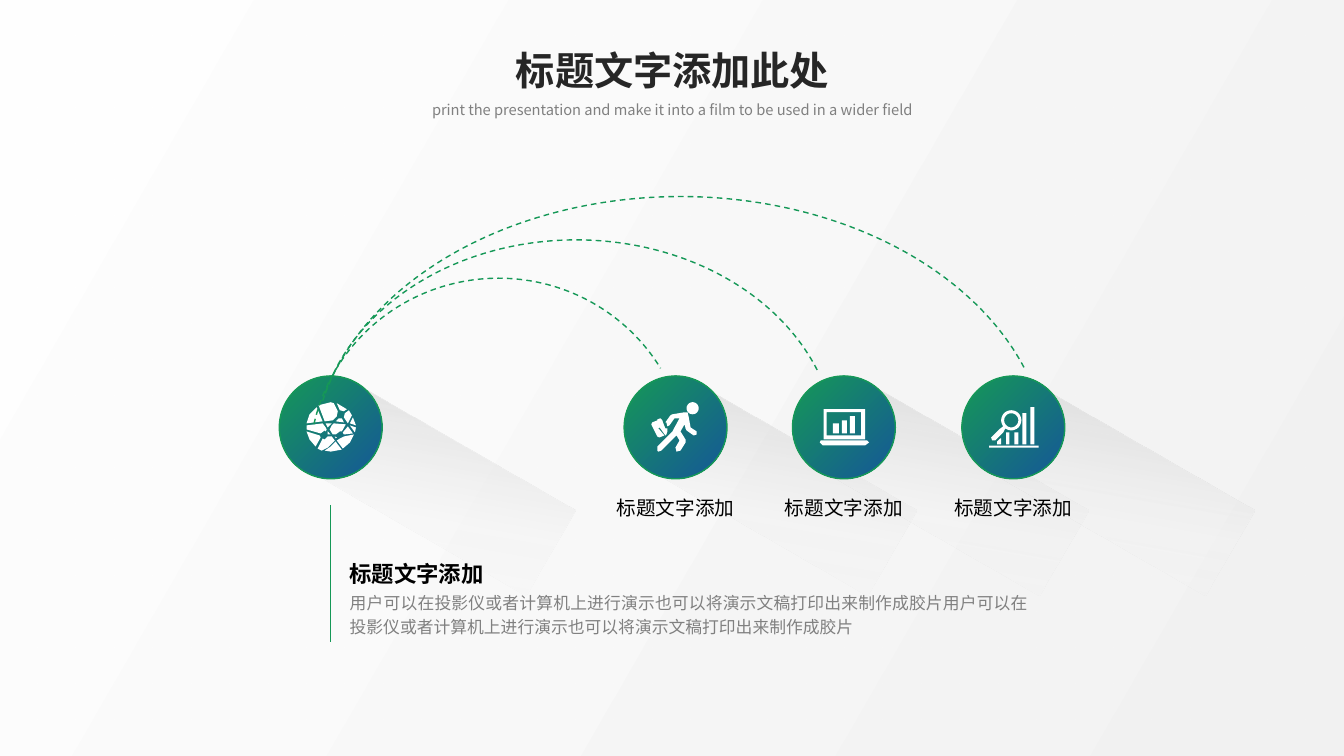
import math
from dataclasses import dataclass

from pptx import Presentation
from pptx import util as u
from pptx.dml.color import RGBColor
from pptx.enum import dml, shapes, text
from pptx.oxml import ns, xmlchemy

FONT = "Noto Sans CJK SC"
GREEN, BLUE, GREY = "159857", "155798", "808080"
LABEL = "标题文字添加"
DETAIL = "用户可以在投影仪或者计算机上进行演示也可以将演示文稿打印出来制作成胶片" * 2
CENTER_Y = 4.24
Outline = list[tuple[float, float]]


@dataclass
class Station:
    x: float
    shadow_dx: float
    icon: list[Outline]
    label: str = ""


@dataclass
class Arc:
    left: float
    top: float
    width: float
    height: float
    start: float
    end: float


def box(left: float, top: float, right: float, bottom: float) -> Outline:
    return [(left, top), (right, top), (right, bottom), (left, bottom)]


def circle(x: float, y: float, radius: float) -> Outline:
    turns = [math.tau * step / 32 for step in range(32)]
    return [(x + radius * math.cos(t), y + radius * math.sin(t)) for t in turns]


# Icon outlines, in hundredths of an inch from the centre of the disc
RUNNER = [
    circle(17, -19, 6),
    [(9, -15), (12, -15), (13, -11), (15, 0), (21, 4), (21, 7), (18, 8), (11, 3),
     (10, 1), (9, -3), (5, 4), (10, 12), (10, 15), (5, 23), (1, 24), (0, 20),
     (4, 13), (1, 8), (-14, 23), (-17, 24), (-18, 23), (-18, 19), (-3, 4), (-2, 2),
     (4, -9), (-1, -9), (-6, -2), (-8, -1), (-9, -5), (-10, -5), (-5, -12), (-3, -13)],
    [(-18, -7), (-16, 0), (-17, 1), (-16, 2), (-11, 8), (-16, 10), (-18, 9),
     (-24, -3), (-23, -5)],
    [(-15, -9), (-13, -7), (-12, -4), (-10, 1), (-8, 1), (-8, 4), (-9, 7),
     (-10, 8), (-15, 1), (-16, 0), (-18, -8)],
]
LAPTOP = [
    [(-23, 13), (23, 13), (25, 15), (21, 18), (-21, 18), (-24, 15)],
    box(-11, -4, -5, 6), box(-2, -7, 3, 6), box(6, -11, 11, 6),
    box(-20, -18, 21, 12), box(-17, -15, 17, 8),
]
GLOBE = [
    [(5, 14), (7, 17), (11, 22), (0, 24), (-6, 23), (0, 19)],
    [(4, 9), (6, 10), (5, 11)],
    [(-3, 9), (1, 9), (4, 13), (-3, 20), (-9, 23), (-13, 21), (-8, 11), (-6, 12)],
    [(23, 7), (19, 15), (12, 21), (6, 13), (9, 11), (13, 9)],
    [(-24, 4), (-11, 8), (-10, 10), (-15, 19), (-21, 12)],
    [(-3, 4), (0, 7), (-3, 7)],
    [(17, -1), (22, 6), (13, 7), (12, 5)],
    [(19, -2), (25, 0), (24, 5)],
    [(-8, -4), (-5, 0), (-4, 2), (-5, 4), (-6, 3), (-10, 6), (-24, 2), (-24, -2)],
    [(3, -4), (15, -3), (11, 4), (9, 4), (5, 7), (2, 7), (-1, 2), (1, -2)],
    [(1, -4), (-3, 0), (-5, -4)],
    [(8, -9), (11, -9), (13, -5), (5, -6)],
    [(22, -10), (25, -2), (19, -4)],
    [(18, -17), (21, -12), (17, -4), (13, -10), (14, -14)],
    [(-14, -20), (-8, -6), (-24, -4), (-21, -13)],
    [(6, -24), (16, -18), (13, -16), (9, -17)],
    [(0, -25), (3, -24), (7, -16), (6, -11), (2, -7), (-6, -6), (-12, -22)],
]
ANALYSIS = [
    box(-24, 18, 25, 20),
    [(-13, 11), (-12, 11), (-12, 17), (-16, 17), (-16, 14)],
    box(-7, 5, -4, 17), box(1, 5, 5, 17), box(9, -14, 13, 17), box(17, -20, 21, 17),
    circle(-2, -7, 10), circle(-2, -7, 7),
    [(-8, 1), (-10, 5), (-18, 13), (-21, 13), (-22, 10), (-14, 2), (-10, -1)],
]

STATIONS = [
    Station(6.7, -0.11, RUNNER, LABEL),
    Station(8.37, -0.08, LAPTOP, LABEL),
    Station(3.28, -0.08, GLOBE),
    Station(10.05, -0.11, ANALYSIS, LABEL),
]
ARCS = [
    Arc(3.07, 2.76, 3.75, 3.69, 115.34, 197.62),
    Arc(3.13, 2.38, 5.17, 4.17, 114.61, 205.53),
    Arc(3.1, 1.95, 7.3, 5.29, 114.66, 206.78),
]


def color(value: str) -> RGBColor:
    return RGBColor.from_string(value)


def set_gradient(shape, stops: list[tuple[int, str, int]], angle: float) -> None:
    """Each stop is position, colour and opacity; the angle runs clockwise."""
    shape.fill.gradient()
    shape.fill.gradient_angle = 360 - angle
    stop_list = shape._element.spPr.find(".//" + ns.qn("a:gsLst"))
    stop_list.clear()
    for position, value, opacity in stops:
        stop = xmlchemy.OxmlElement("a:gs")
        stop.set("pos", str(position * 1000))
        tint = xmlchemy.OxmlElement("a:srgbClr")
        tint.set("val", value)
        alpha = xmlchemy.OxmlElement("a:alpha")
        alpha.set("val", str(opacity * 1000))
        tint.append(alpha)
        stop.append(tint)
        stop_list.append(stop)


def set_line(shape, dashed: bool = False) -> None:
    shape.line.color.rgb = color(GREEN)
    shape.line.width = u.Pt(1)
    if dashed:
        shape.line.dash_style = dml.MSO_LINE.DASH


def add_outlines(slide, x: float, y: float, outlines: list[Outline]):
    scaled = [[(px * 10, py * 10) for px, py in outline] for outline in outlines]
    builder = slide.shapes.build_freeform(*scaled[0][0], scale=u.Inches(1) / 1000)
    for index, outline in enumerate(scaled):
        if index:
            builder.move_to(*outline[0])
        builder.add_line_segments(outline[1:], close=True)
    shape = builder.convert_to_shape(u.Inches(x), u.Inches(y))
    shape.shadow.inherit = False
    shape.line.fill.background()
    return shape


def add_preset(slide, kind, left: float, top: float, width: float, height: float):
    shape = slide.shapes.add_shape(kind, *map(u.Inches, (left, top, width, height)))
    shape.shadow.inherit = False
    return shape


def write(slide, words: str, left: float, top: float, width: float, height: float, *,
          size: float, value: str = "000000", bold: bool = False,
          align=text.PP_ALIGN.CENTER, spacing: float = 1.2, holder=None) -> None:
    area = [u.Inches(n) for n in (left, top, width, height)]
    holder = holder or slide.shapes.add_textbox(*area)
    holder.left, holder.top, holder.width, holder.height = area
    frame = holder.text_frame
    frame.word_wrap = True
    frame.auto_size = text.MSO_AUTO_SIZE.NONE
    frame.vertical_anchor = text.MSO_ANCHOR.MIDDLE
    paragraph = frame.paragraphs[0]
    paragraph.alignment, paragraph.line_spacing = align, spacing
    run = paragraph.add_run()
    run.text = words
    run.font.name, run.font.size, run.font.bold = FONT, u.Pt(size), bold
    run.font.color.rgb = color(value)
    east_asian = xmlchemy.OxmlElement("a:ea")
    east_asian.set("typeface", FONT)
    run._r.get_or_add_rPr().append(east_asian)


def add_station(slide, station: Station) -> None:
    shadow = add_outlines(slide, station.x + station.shadow_dx, CENTER_Y + 0.15,
                          [box(0, 0, 242, 98)])
    shadow.rotation = 30
    set_gradient(shadow, [(0, "BFBFBF", 50), (61, "F2F2F2", 34), (100, "F2F2F2", 0)], 70)
    disc = add_preset(slide, shapes.MSO_SHAPE.OVAL, station.x - 0.51, CENTER_Y - 0.51, 1.02, 1.02)
    set_gradient(disc, [(0, GREEN, 100), (100, BLUE, 100)], 45)
    set_line(disc)
    icon = add_outlines(slide, station.x, CENTER_Y, station.icon)
    icon.fill.solid()
    icon.fill.fore_color.rgb = color("FFFFFF")
    if station.label:
        write(slide, station.label, station.x - 0.85, 4.83, 1.7, 0.36, size=14)


def main() -> None:
    deck = Presentation()
    deck.slide_width, deck.slide_height = u.Inches(13.33), u.Inches(7.5)
    slide = deck.slides.add_slide(deck.slide_layouts[5])

    # Backdrop, behind the title
    backdrop = add_preset(slide, shapes.MSO_SHAPE.RECTANGLE, 0, 0, 13.33, 7.5)
    set_gradient(backdrop, [(0, "FFFFFF", 95), (100, "F2F2F2", 100)], 30)
    backdrop.line.fill.background()
    slide.shapes._spTree.insert(2, backdrop._element)

    # Heading
    write(slide, "标题文字添加此处", 4.87, 0.41, 3.6, 0.57, size=28, value="262626",
          bold=True, spacing=1.0, holder=slide.shapes.title)
    write(slide, "print the presentation and make it into a film to be used in a wider field",
          4, 0.92, 5.34, 0.3, size=10.5, value=GREY)

    # Stations and the arcs that join them
    for station in STATIONS:
        add_station(slide, station)
    for arc in ARCS:
        curve = add_preset(slide, shapes.MSO_SHAPE.ARC, arc.left, arc.top, arc.width, arc.height)
        curve.adjustments[0], curve.adjustments[1] = arc.start, arc.end
        curve.fill.background()
        set_line(curve, dashed=True)

    # Detail of the first station
    stem = slide.shapes.add_connector(shapes.MSO_CONNECTOR.STRAIGHT,
                                      *map(u.Inches, (3.28, 5.01, 3.28, 6.37)))
    set_line(stem)
    stem._element.spPr.append(xmlchemy.OxmlElement("a:effectLst"))
    write(slide, LABEL, 3.37, 5.46, 2.24, 0.4, size=16, bold=True, align=text.PP_ALIGN.JUSTIFY)
    write(slide, DETAIL, 3.37, 5.78, 6.93, 0.59, size=12, value=GREY,
          align=text.PP_ALIGN.JUSTIFY)

    deck.save("out.pptx")


if __name__ == "__main__":
    main()
